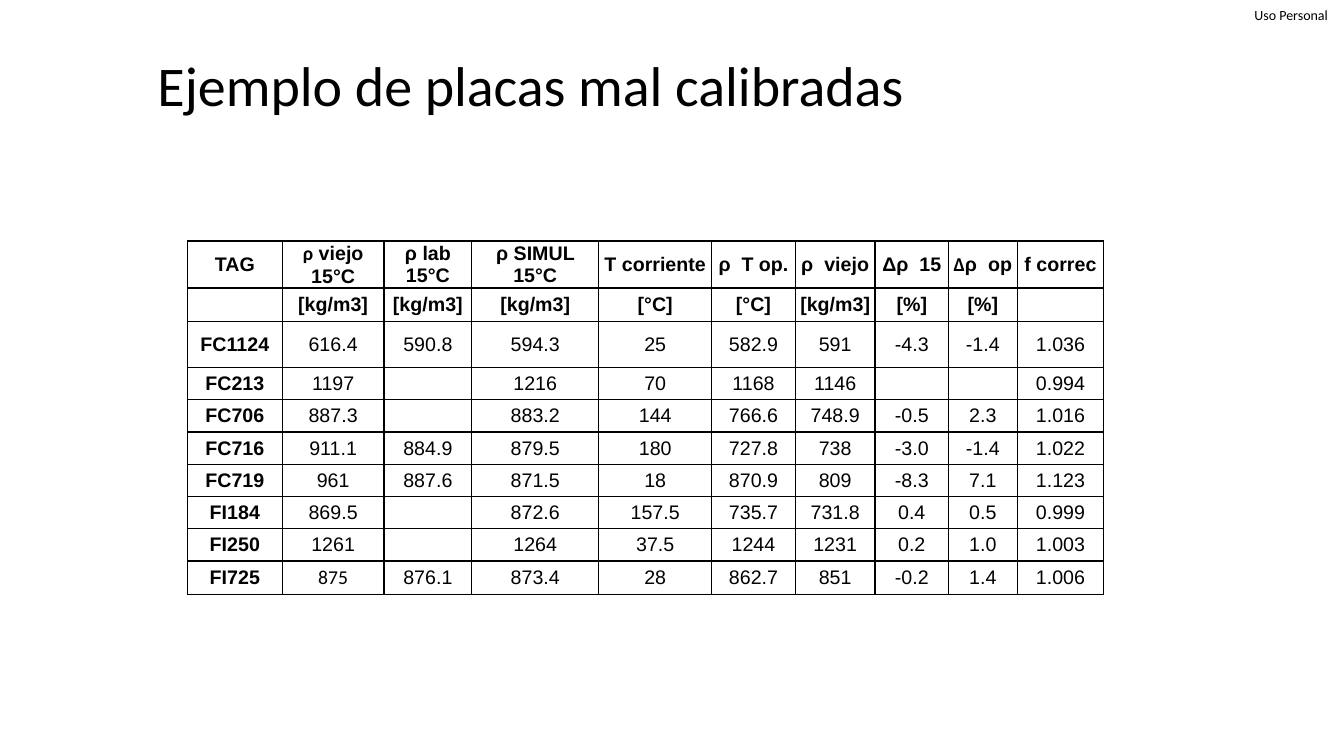
"""Builds the slide of badly calibrated orifice plates."""
from dataclasses import dataclass

from lxml import etree
from pptx import Presentation
from pptx.dml.color import RGBColor
from pptx.enum.text import MSO_ANCHOR, PP_ALIGN
from pptx.oxml.ns import qn
from pptx.util import Inches, Pt

BLACK = RGBColor(0x00, 0x00, 0x00)
WHITE = RGBColor(0xFF, 0xFF, 0xFF)
LEFT, CENTER, RIGHT = PP_ALIGN.LEFT, PP_ALIGN.CENTER, PP_ALIGN.RIGHT
TOP, MIDDLE = MSO_ANCHOR.TOP, MSO_ANCHOR.MIDDLE
ARIAL, CALIBRI = "Arial", "Calibri"

HEADER_ROWS = 2
COL_WIDTHS = [0.94, 1.01, 0.87, 1.26, 1.12, 0.83, 0.79, 0.73, 0.68, 0.86]
ROW_HEIGHTS = [0.46, 0.33, 0.46] + [0.32] * 6 + [0.33]
ROWS = [
    ["TAG", "ρ viejo 15°C", "ρ lab 15°C", "ρ SIMUL 15°C", "T corriente",
     "ρ  T op.", "ρ  viejo", "Δρ  15", "Δρ  op", "f correc"],
    ["", "[kg/m3]", "[kg/m3]", "[kg/m3]", "[°C]", "[°C]", "[kg/m3]", "[%]", "[%]", ""],
    ["FC1124", "616.4", "590.8", "594.3", "25", "582.9", "591", "-4.3", "-1.4", "1.036"],
    ["FC213", "1197", "", "1216", "70", "1168", "1146", "", "", "0.994"],
    ["FC706", "887.3", "", "883.2", "144", "766.6", "748.9", "-0.5", "2.3", "1.016"],
    ["FC716", "911.1", "884.9", "879.5", "180", "727.8", "738", "-3.0", "-1.4", "1.022"],
    ["FC719", "961", "887.6", "871.5", "18", "870.9", "809", "-8.3", "7.1", "1.123"],
    ["FI184", "869.5", "", "872.6", "157.5", "735.7", "731.8", "0.4", "0.5", "0.999"],
    ["FI250", "1261", "", "1264", "37.5", "1244", "1231", "0.2", "1.0", "1.003"],
    ["FI725", "875", "876.1", "873.4", "28", "862.7", "851", "-0.2", "1.4", "1.006"],
]
CALIBRI_PREFIXES = {(0, 1): "ρ", (0, 8): "Δ", (9, 1): "875"}


@dataclass
class Label:
    """A line of text with its box and format."""
    text: str
    left: float
    top: float
    width: float
    height: float
    size: int
    align: PP_ALIGN
    anchor: MSO_ANCHOR
    inset_x: float
    inset_y: float


TITLE = Label("Ejemplo de placas mal calibradas", 1.46, 0.45, 7.68, 0.77, 40, LEFT, TOP, 0.1, 0.05)
CLASSIFICATION = Label("Uso Personal", 12.13, 0, 1.04, 0.29, 10, RIGHT, MIDDLE, 0, 0)


def format_run(r, font: str, size: int, bold: bool = False) -> None:
    """Set the font of a run."""
    r.font.name, r.font.size, r.font.bold = font, Pt(size), bold
    r.font.color.rgb = BLACK


def fill_label(sp, label: Label) -> None:
    """Place a text shape and write its label."""
    sp.left, sp.top = Inches(label.left), Inches(label.top)
    sp.width, sp.height = Inches(label.width), Inches(label.height)
    tf = sp.text_frame
    tf.text = label.text
    tf.word_wrap = True
    tf.vertical_anchor = label.anchor
    tf.margin_left = tf.margin_right = Inches(label.inset_x)
    tf.margin_top = tf.margin_bottom = Inches(label.inset_y)
    p = tf.paragraphs[0]
    p.alignment = label.align
    p.line_spacing = 1.0
    format_run(p.runs[0], CALIBRI, label.size)


def add_borders(cell) -> None:
    """Draw a thin black line on each side of a cell."""
    tc_pr = cell._tc.get_or_add_tcPr()
    for i, side in enumerate(("a:lnL", "a:lnR", "a:lnT", "a:lnB")):
        ln = etree.Element(qn(side), w=str(Pt(1)))
        fill = etree.SubElement(ln, qn("a:solidFill"))
        etree.SubElement(fill, qn("a:srgbClr"), val=str(BLACK))
        tc_pr.insert(i, ln)


def fill_cell(cell, text: str, row: int, col: int) -> None:
    """Write and format one table cell."""
    is_header = row < HEADER_ROWS
    if is_header:
        cell.fill.background()
    else:
        cell.fill.solid()
        cell.fill.fore_color.rgb = WHITE
    add_borders(cell)
    cell.vertical_anchor = MIDDLE
    cell.margin_left = cell.margin_right = Inches(0.04)
    cell.margin_top = cell.margin_bottom = 0
    p = cell.text_frame.paragraphs[0]
    p.alignment = CENTER
    prefix = CALIBRI_PREFIXES.get((row, col), "")
    for part, font in ((prefix, CALIBRI), (text.removeprefix(prefix), ARIAL)):
        if part:
            r = p.add_run()
            r.text = part
            format_run(r, font, 14, is_header or col == 0)


def add_plate_table(s) -> None:
    """Add the table of plate densities and correction factors."""
    table = s.shapes.add_table(
        len(ROWS), len(COL_WIDTHS), Inches(1.86), Inches(2.39),
        Inches(sum(COL_WIDTHS)), Inches(sum(ROW_HEIGHTS))).table
    table.first_row = table.horz_banding = False
    for column, width in zip(table.columns, COL_WIDTHS):
        column.width = Inches(width)
    for i, (row, height) in enumerate(zip(table.rows, ROW_HEIGHTS)):
        row.height = Inches(height)
        for j, text in enumerate(ROWS[i]):
            fill_cell(table.cell(i, j), text, i, j)


def main() -> None:
    """Build and save the slide."""
    prs = Presentation()
    prs.slide_width, prs.slide_height = Inches(13.33), Inches(7.5)
    s = prs.slides.add_slide(prs.slide_layouts[5])
    fill_label(s.shapes.add_textbox(0, 0, 0, 0), CLASSIFICATION)
    add_plate_table(s)
    fill_label(s.shapes.title, TITLE)
    prs.save("out.pptx")


if __name__ == "__main__":
    main()
